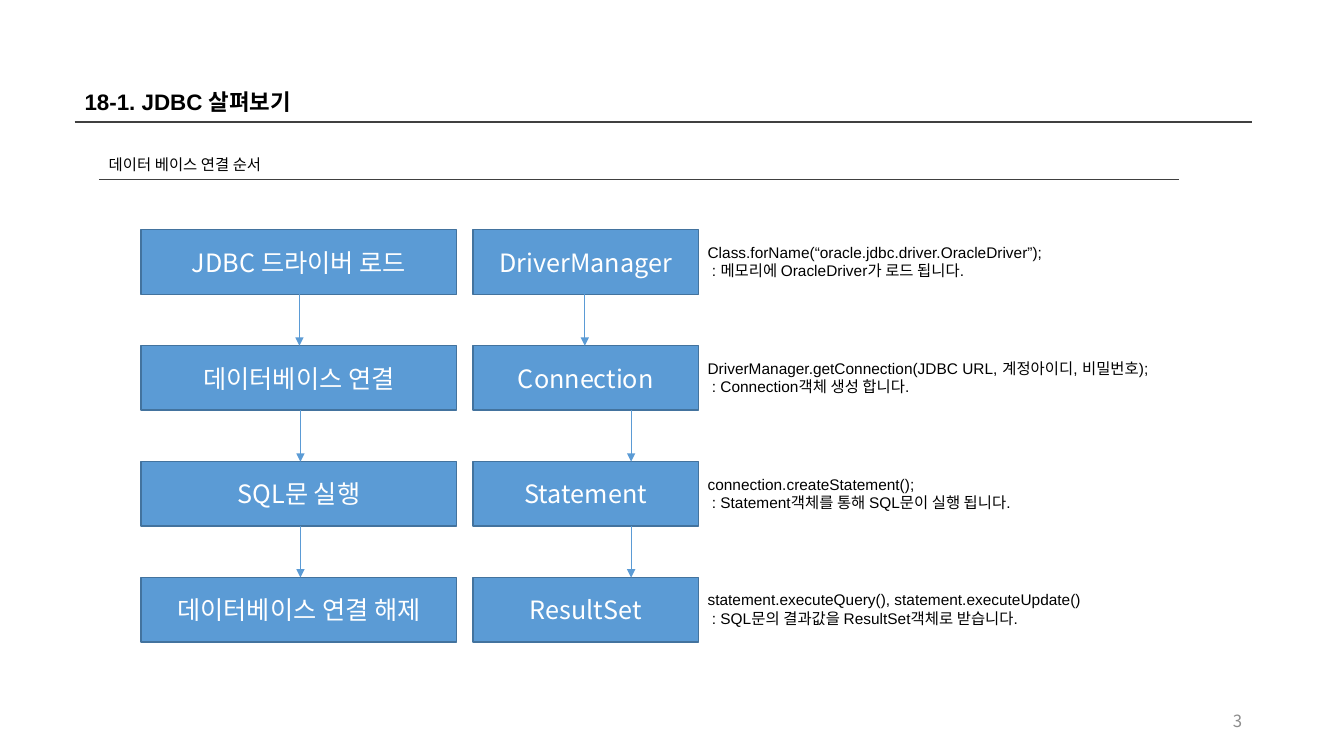
from dataclasses import dataclass

from lxml import etree
from pptx import Presentation
from pptx.dml.color import RGBColor
from pptx.enum.shapes import MSO_CONNECTOR, MSO_SHAPE
from pptx.enum.text import MSO_ANCHOR, MSO_AUTO_SIZE, PP_ALIGN
from pptx.oxml.ns import qn
from pptx.util import Inches, Pt

STRAIGHT = MSO_CONNECTOR.STRAIGHT
RECTANGLE = MSO_SHAPE.RECTANGLE
LEFT, CENTER, RIGHT = PP_ALIGN.LEFT, PP_ALIGN.CENTER, PP_ALIGN.RIGHT
TOP, MIDDLE = MSO_ANCHOR.TOP, MSO_ANCHOR.MIDDLE
GROW, FIXED = MSO_AUTO_SIZE.SHAPE_TO_FIT_TEXT, MSO_AUTO_SIZE.NONE


@dataclass(frozen=True)
class Theme:
    ink: str = "000000"
    rule: str = "404040"
    box: str = "5B9BD5"
    box_edge: str = "43739E"
    box_text: str = "FFFFFF"
    page: str = "8C8C8C"
    body_font: str = "Arial"
    box_font: str = "Noto Sans CJK KR"
    title_size: int = 16
    body_size: int = 11
    box_size: int = 18
    page_size: int = 12


class SlideBuilder:
    def __init__(self, slide, theme):
        self.shapes = slide.shapes
        self.theme = theme

    def fill_text(self, frame, lines, font, size, color, bold=False,
                  align=LEFT, anchor=TOP, fit=FIXED):
        frame_format = {"word_wrap": True, "auto_size": fit,
                        "vertical_anchor": anchor}
        for key, value in frame_format.items():
            setattr(frame, key, value)
        font_format = {"name": font, "size": Pt(size), "bold": bold}
        for number, line in enumerate(lines):
            paragraph = frame.add_paragraph() if number else frame.paragraphs[0]
            paragraph.alignment = align
            run = paragraph.add_run()
            run.text = line
            for key, value in font_format.items():
                setattr(run.font, key, value)
            run.font.color.rgb = RGBColor.from_string(color)
            # Korean glyphs use the East Asian typeface
            etree.SubElement(run._r.get_or_add_rPr(), qn("a:ea"),
                             typeface=self.theme.box_font)

    def text(self, area, lines, **style):
        label = self.shapes.add_textbox(*map(Inches, area))
        self.fill_text(label.text_frame, lines, **style)

    def box(self, area, caption):
        theme = self.theme
        box = self.shapes.add_shape(RECTANGLE, *map(Inches, area))
        box.shadow.inherit = False
        box.fill.solid()
        box.fill.fore_color.rgb = RGBColor.from_string(theme.box)
        box.line.color.rgb = RGBColor.from_string(theme.box_edge)
        box.line.width = Pt(1)
        self.fill_text(box.text_frame, [caption], theme.box_font,
                       theme.box_size, theme.box_text,
                       align=CENTER, anchor=MIDDLE)

    def line(self, ends, color, width, arrow=False):
        line = self.shapes.add_connector(STRAIGHT, *map(Inches, ends))
        line.line.color.rgb = RGBColor.from_string(color)
        line.line.width = Pt(width)
        properties = line._element.spPr
        if arrow:
            etree.SubElement(properties.find(qn("a:ln")), qn("a:tailEnd"),
                             type="triangle")
        etree.SubElement(properties, qn("a:effectLst"))


STEPS = [
    ("JDBC 드라이버 로드", "DriverManager",
     ["Class.forName(“oracle.jdbc.driver.OracleDriver”);",
      " : 메모리에 OracleDriver가 로드 됩니다."]),
    ("데이터베이스 연결", "Connection",
     ["DriverManager.getConnection(JDBC URL, 계정아이디, 비밀번호);",
      " : Connection객체 생성 합니다."]),
    ("SQL문 실행", "Statement",
     ["connection.createStatement();",
      " : Statement객체를 통해 SQL문이 실행 됩니다."]),
    ("데이터베이스 연결 해제", "ResultSet",
     ["statement.executeQuery(), statement.executeUpdate()",
      " : SQL문의 결과값을 ResultSet객체로 받습니다."]),
]
FIRST_TOP, ROW_PITCH, BOX_HEIGHT = 2.28, 1.15, 0.64
STEP_LEFT, STEP_WIDTH = 1.4, 3.13
CLASS_LEFT, CLASS_WIDTH = 4.69, 2.24
# Arrow positions below each row: step column, class column
ARROW_COLUMNS = [(2.97, 5.8), (2.98, 6.26), (2.98, 6.26)]


def main():
    deck = Presentation()
    deck.slide_width, deck.slide_height = Inches(13.33), Inches(7.5)
    theme = Theme()
    builder = SlideBuilder(deck.slides.add_slide(deck.slide_layouts[6]), theme)
    body = {"font": theme.body_font, "size": theme.body_size,
            "color": theme.ink, "fit": GROW}

    # Title, subtitle and their rules
    builder.text((0.74, 0.83, 11.68, 0.37), ["18-1. JDBC 살펴보기"],
                 **{**body, "size": theme.title_size, "bold": True})
    builder.line((0.74, 1.21, 12.42, 1.21), theme.rule, 1)
    builder.text((0.98, 1.49, 10.71, 0.29), ["데이터 베이스 연결 순서"], **body)
    builder.line((0.98, 1.78, 11.69, 1.78), theme.rule, 1)

    # Steps, their classes and explanations
    for row, (step, class_name, explanation) in enumerate(STEPS):
        top = FIRST_TOP + row * ROW_PITCH
        builder.box((STEP_LEFT, top, STEP_WIDTH, BOX_HEIGHT), step)
        builder.box((CLASS_LEFT, top, CLASS_WIDTH, BOX_HEIGHT), class_name)
        builder.text((6.92, top + 0.08, 4.83, 0.47), explanation, **body)

    # Arrows between rows
    for row, columns in enumerate(ARROW_COLUMNS):
        top = FIRST_TOP + row * ROW_PITCH
        for x in columns:
            builder.line((x, top + BOX_HEIGHT, x, top + ROW_PITCH),
                         theme.box, 0.5, arrow=True)

    # Page number
    builder.text((9.42, 6.95, 3, 0.4), ["3"], font=theme.box_font,
                 size=theme.page_size, color=theme.page,
                 align=RIGHT, anchor=MIDDLE)
    deck.save("out.pptx")


if __name__ == "__main__":
    main()
